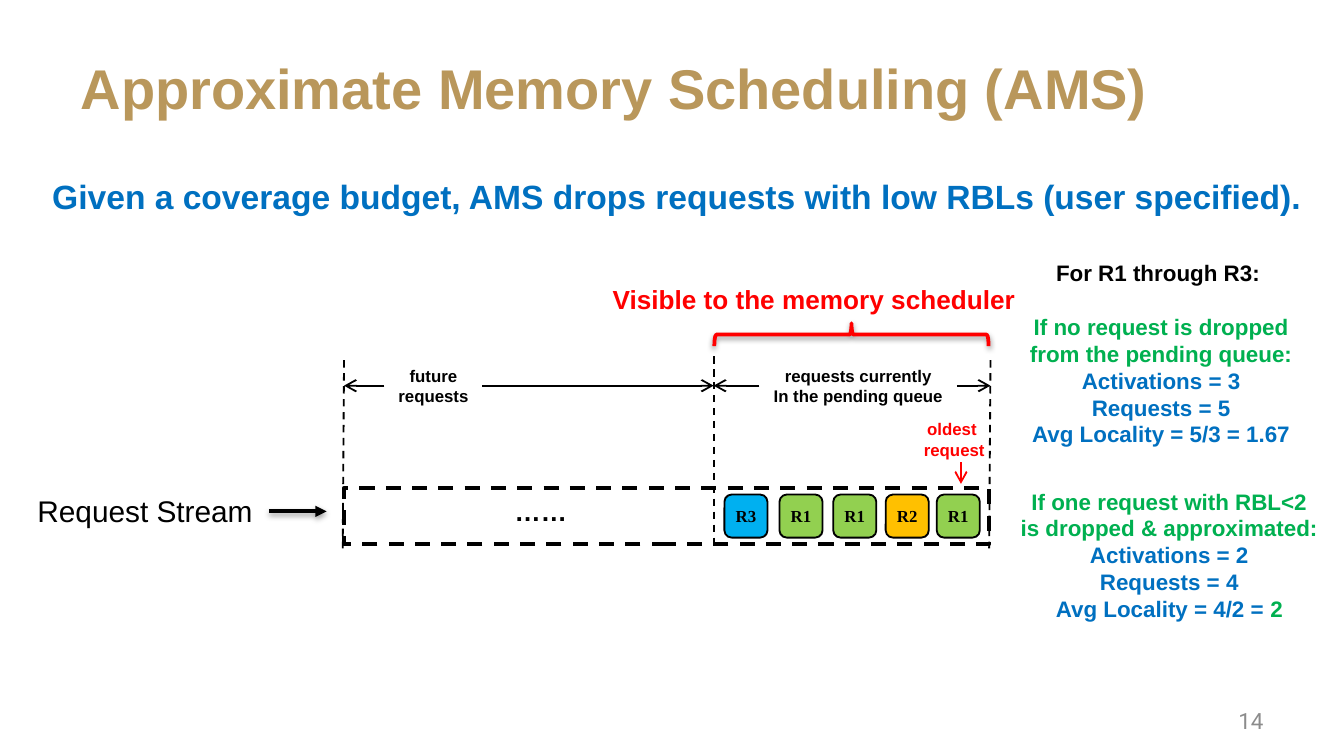
from collections import namedtuple

from lxml import etree
from pptx import Presentation, util as u
from pptx.dml.color import RGBColor
from pptx.enum import dml, shapes, text
from pptx.oxml import ns

GOLD = RGBColor(0xB9, 0x97, 0x5B)
BLUE = RGBColor(0x00, 0x70, 0xC0)
SKY = RGBColor(0x00, 0xB0, 0xF0)
GREEN = RGBColor(0x00, 0xB0, 0x50)
LIME = RGBColor(0x92, 0xD0, 0x50)
AMBER = RGBColor(0xFF, 0xC0, 0x00)
RED = RGBColor(0xFF, 0x00, 0x00)
GRAY = RGBColor(0x8C, 0x8C, 0x8C)
BLACK = RGBColor(0, 0, 0)
WHITE = RGBColor(0xFF, 0xFF, 0xFF)

LEFT, CENTER, RIGHT = text.PP_ALIGN.LEFT, text.PP_ALIGN.CENTER, text.PP_ALIGN.RIGHT
MIDDLE = text.MSO_ANCHOR.MIDDLE
DASH = dml.MSO_LINE.DASH
SHAPE = shapes.MSO_SHAPE

Box = namedtuple("Box", "left top width height")


def inches(box):
    return [u.Inches(value) for value in box]


def apply_format(target, values):
    for name, value in values.items():
        setattr(target, name, value)


def write(shape, lines, size, align=CENTER, name="Arial", bold=True, **frame_format):
    frame = shape.text_frame
    apply_format(frame, {"word_wrap": True, **frame_format})
    for index, runs in enumerate(lines):
        paragraph = frame.paragraphs[0] if index == 0 else frame.add_paragraph()
        paragraph.alignment = align
        for words, color in runs:
            run = paragraph.add_run()
            run.text = words
            apply_format(run.font, {"size": u.Pt(size), "name": name, "bold": bold})
            run.font.color.rgb = color
    return shape


def add_text(slide, box, lines, size, **options):
    return write(slide.shapes.add_textbox(*inches(box)), lines, size, **options)


def add_shape(slide, kind, box, fill=None, line=None, width=1, dash=None):
    shape = slide.shapes.add_shape(kind, *inches(box))
    shape.shadow.inherit = False
    if fill is None:
        shape.fill.background()
    else:
        shape.fill.solid()
        shape.fill.fore_color.rgb = fill
    if line is None:
        shape.line.fill.background()
    else:
        shape.line.color.rgb = line
        apply_format(shape.line, {"width": u.Pt(width), "dash_style": dash})
    return shape


def set_effects(shape, shadow=False):
    properties = shape._element.spPr
    for old in properties.findall(ns.qn("a:effectLst")):
        properties.remove(old)
    effects = etree.SubElement(properties, ns.qn("a:effectLst"))
    if shadow:
        outer = etree.SubElement(effects, ns.qn("a:outerShdw"), blurRad=str(u.Pt(3.1)),
                                 dist=str(u.Pt(1.6)), dir="5400000", rotWithShape="0")
        color = etree.SubElement(outer, ns.qn("a:srgbClr"), val="000000")
        etree.SubElement(color, ns.qn("a:alpha"), val="38000")


def add_line(slide, start, end, color=BLACK, width=1, dash=None, head=None,
             shadow=False, source=None):
    line = slide.shapes.add_connector(shapes.MSO_CONNECTOR.STRAIGHT, *inches(start + end))
    line.line.color.rgb = color
    apply_format(line.line, {"width": u.Pt(width), "dash_style": dash})
    if head:
        etree.SubElement(line.line._get_or_add_ln(), ns.qn("a:tailEnd"), type=head)
    set_effects(line, shadow)
    if source:
        line.begin_connect(*source)
    return line


def add_title(slide, box):
    title = slide.shapes.title
    left, top, width, height = inches(box)
    apply_format(title, {"left": left, "top": top, "width": width, "height": height})
    write(title, [[("Approximate Memory Scheduling (AMS)", GOLD)]], 30, align=LEFT,
          vertical_anchor=MIDDLE, auto_size=text.MSO_AUTO_SIZE.NONE)


def add_range_label(slide, box, lines, arrow_left, arrow_right):
    label = add_text(slide, box, [[(line, BLACK)] for line in lines], 9, word_wrap=False)
    middle = box.top + box.height / 2
    for side, start, end in ((1, box.left, arrow_left), (3, box.left + box.width, arrow_right)):
        add_line(slide, (start, middle), (end, middle), head="arrow", source=(label, side))


def add_queue(slide, box):
    left, top, width, height = box
    right, divider = left + width, left + 2.75
    add_shape(slide, SHAPE.RECTANGLE, box, WHITE, BLACK, 2, DASH)
    dots = add_shape(slide, SHAPE.RECTANGLE, Box(left + 0.63, top + 0.05, 1.67, 0.24), WHITE)
    write(dots, [[("……", BLACK)]], 14, vertical_anchor=MIDDLE)

    for x_top, x_bottom, rise, drop in ((left, left - 0.01, 0.95, 0.45),
                                        (divider, divider, 0.98, height),
                                        (right + 0.01, right, 0.95, 0.45)):
        add_line(slide, (x_top, top - rise), (x_bottom, top + drop), dash=DASH)

    add_range_label(slide, Box(left + 0.3, top - 0.96, 0.73, 0.4),
                    ["future", "requests"], left, divider)
    add_range_label(slide, Box(left + 3.09, top - 0.96, 1.47, 0.4),
                    ["requests currently", "In the pending queue"], divider, right + 0.01)

    add_text(slide, Box(left + 4.21, top - 0.56, 0.66, 0.4),
             [[("oldest ", RED)], [("request", RED)]], 9, word_wrap=False)
    add_line(slide, (left + 4.59, top - 0.19), (left + 4.59, top - 0.03), RED, head="arrow")

    requests = (("R3", SKY, 2.83), ("R1", LIME, 3.24), ("R1", LIME, 3.64),
                ("R2", AMBER, 4.03), ("R1", LIME, 4.41))
    for name, color, offset in requests:
        tile = add_shape(slide, SHAPE.ROUNDED_RECTANGLE,
                         Box(left + offset, top + 0.05, 0.32, 0.32), color, BLACK)
        write(tile, [[(name, BLACK)]], 9, name="Times New Roman", vertical_anchor=MIDDLE,
              margin_left=0, margin_right=0, margin_top=0, margin_bottom=0)


def add_request_stream(slide, box):
    label = add_text(slide, box._replace(width=1.84), [[("Request Stream", BLACK)]], 16,
                     bold=False)
    middle = box.top + box.height / 2
    add_line(slide, (box.left + 1.84, middle), (box.left + box.width, middle), width=2,
             head="triangle", shadow=True, source=(label, 3))


def add_visible_range(slide, box):
    add_text(slide, box._replace(height=0.34),
             [[("Visible to the memory scheduler", RED)]], 14, align=LEFT)
    brace = add_shape(slide, SHAPE.LEFT_BRACE,
                      Box(box.left + 1.79, box.top - 0.59, 0.17, 2.04), line=RED, width=2)
    brace.rotation = 90
    set_effects(brace, shadow=True)


def add_case(slide, box, condition, activations, requests, locality, heading=None):
    lines = [[(condition, GREEN)], [(f"Activations = {activations}", BLUE)],
             [(f"Requests = {requests}", BLUE)], locality]
    if heading:
        lines.insert(0, [(heading, BLACK)])
    case = add_text(slide, box, lines, 12)
    if heading:
        case.text_frame.paragraphs[1].space_before = u.Pt(14.4)


def main():
    presentation = Presentation()
    presentation.slide_width = u.Inches(10)
    presentation.slide_height = presentation.slide_width * 9 // 16
    slide = presentation.slides.add_slide(presentation.slide_layouts[5])

    add_title(slide, Box(0.5, 0.18, 9, 0.94))
    add_text(slide, Box(7.17, 5.21, 2.33, 0.3), [[("14", GRAY)]], 12, align=RIGHT,
             name="Roboto", bold=False, vertical_anchor=MIDDLE)
    add_queue(slide, Box(2.56, 3.63, 4.8, 0.42))
    add_request_stream(slide, Box(0.16, 3.62, 2.27, 0.37))
    add_visible_range(slide, Box(4.46, 2.06, 3.23, 0.52))
    add_text(slide, Box(0.29, 1.26, 9.95, 0.7),
             [[("Given a coverage budget, AMS drops requests with low RBLs (user specified).",
                BLUE)]], 18, align=LEFT)
    add_case(slide, Box(7.49, 1.88, 2.3, 1.51),
             "If no request is dropped from the pending queue:", 3, 5,
             [("Avg Locality = 5/3 = 1.67", BLUE)], heading="For R1 through R3: ")
    add_case(slide, Box(7.49, 3.58, 2.42, 1.11),
             "If one request with RBL<2 is dropped & approximated:", 2, 4,
             [("Avg Locality = 4/2 = ", BLUE), ("2", GREEN)])
    presentation.save("out.pptx")


if __name__ == "__main__":
    main()
